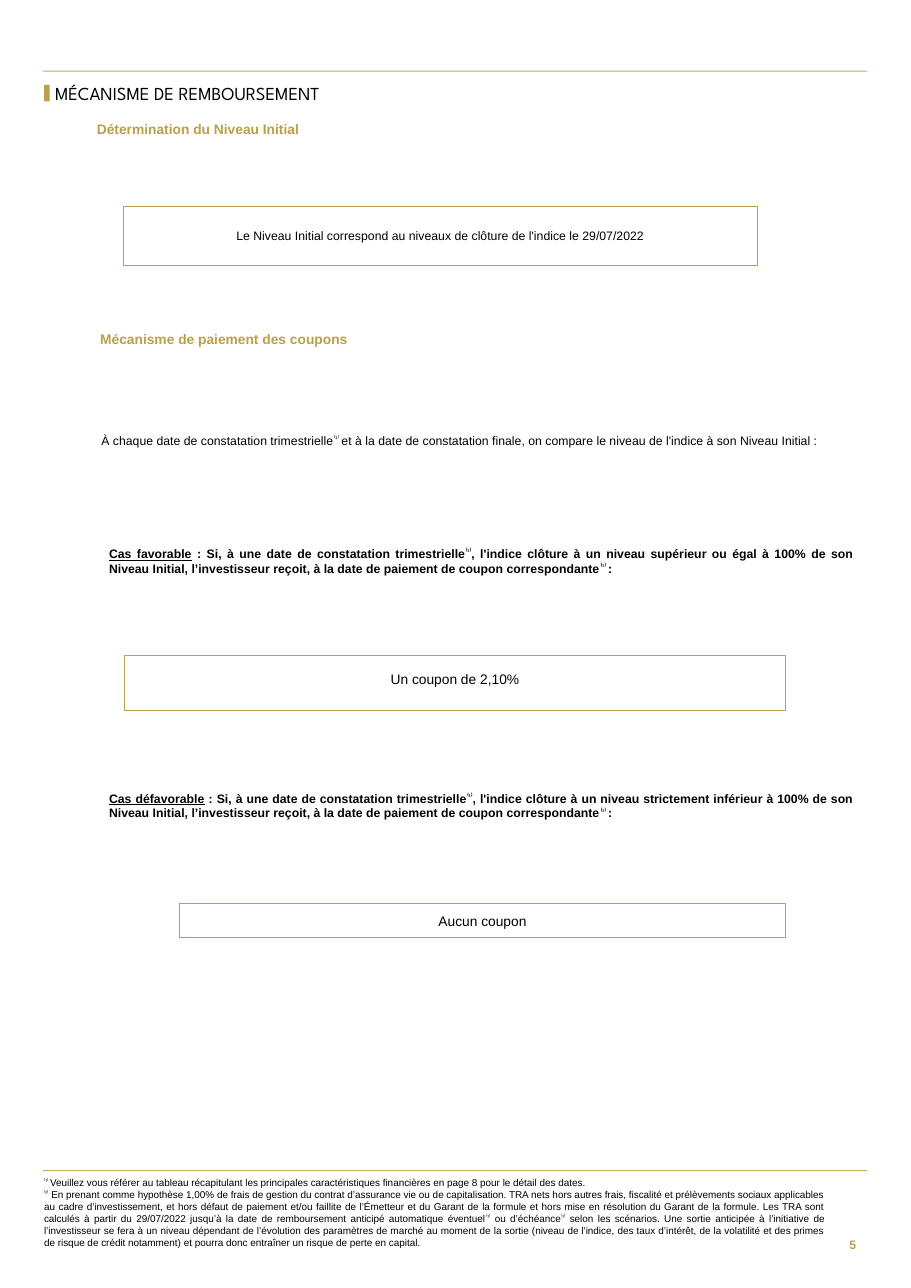
from dataclasses import dataclass

import pptx
import pptx.dml.color
import pptx.enum.shapes
import pptx.enum.text
import pptx.util

PX = 9144  # one hundredth of an inch, in EMU
INK = {"gold": "B9A049", "rule": "C5AF5C", "black": "000000", "white": "FFFFFF"}
ALIGN = pptx.enum.text.PP_ALIGN
ANCHOR = pptx.enum.text.MSO_ANCHOR
Area = tuple[int, int, int, int]


@dataclass
class Text:
    """Words put between ^ marks are raised; lead is underlined."""
    area: Area
    paras: list[str]
    size: float = 8
    ink: str = "black"
    bold: bool = False
    align: ALIGN = ALIGN.JUSTIFY
    anchor: ANCHOR = ANCHOR.TOP
    inset: Area = (0, 0, 0, 0)
    font: str = "Arial"
    lead: str = ""
    space: float = 1.0


@dataclass
class Box:
    text: Text
    line: float
    fill: str = ""


@dataclass
class Bar:
    area: Area
    ink: str


def color(name: str) -> pptx.dml.color.RGBColor:
    return pptx.dml.color.RGBColor.from_string(INK[name])


def scale(area: tuple[int, ...]) -> list[int]:
    return [n * PX for n in area]


def rect(slide, area: Area, fill: str, line: float = 0):
    shape = slide.shapes.add_shape(
        pptx.enum.shapes.MSO_SHAPE.RECTANGLE, *scale(area))
    shape.shadow.inherit = False
    if fill:
        shape.fill.solid()
        shape.fill.fore_color.rgb = color(fill)
    else:
        shape.fill.background()
    if line:
        shape.line.color.rgb = color("gold")
        shape.line.width = pptx.util.Pt(line)
    else:
        shape.line.fill.background()
    return shape


def write(frame, text: Text) -> None:
    frame.word_wrap = True
    frame.vertical_anchor = text.anchor
    (frame.margin_left, frame.margin_top,
     frame.margin_right, frame.margin_bottom) = scale(text.inset)
    for i, words in enumerate(text.paras):
        para = frame.add_paragraph() if i else frame.paragraphs[0]
        para.alignment = text.align
        para.line_spacing = text.space
        font = para.font
        font.name, font.size = text.font, pptx.util.Pt(text.size)
        font.bold = text.bold
        font.color.rgb = color(text.ink)
        if text.lead:
            run = para.add_run()
            run.text = text.lead
            run.font.underline = True
        for k, part in enumerate(words.split("^")):
            if part:
                run = para.add_run()
                run.text = part
                if k % 2:
                    run.font._element.set("baseline", "30000")


def draw(slide, item: Text | Box | Bar) -> None:
    if isinstance(item, Bar):
        rect(slide, item.area, item.ink)
    elif isinstance(item, Box):
        shape = rect(slide, item.text.area, item.fill, item.line)
        write(shape.text_frame, item.text)
    else:
        shape = slide.shapes.add_textbox(*scale(item.area))
        write(shape.text_frame, item)


def head(area: Area, words: str) -> Text:
    return Text(area, [words], 9, "gold", True, ALIGN.LEFT, inset=(20, 0, 0, 0))


def case(top: int, name: str, level: str) -> Text:
    words = (
        " : Si, à une date de constatation trimestrielle^⁽¹⁾^, l'indice clôture à un "
        f"niveau {level} à 100% de son Niveau Initial, l’investisseur reçoit, à la "
        "date de paiement de coupon correspondante^⁽¹⁾ ^:")
    return Text((99, top, 676, 27), [words], bold=True, lead=name)


def frame(area: Area, words: str, size: float, inset: Area,
          line: float = 0.75, fill: str = "white") -> Box:
    return Box(Text(area, [words], size, align=ALIGN.CENTER,
                    anchor=ANCHOR.MIDDLE, inset=inset), line, fill)


REFER = (
    "^⁽¹⁾ ^Veuillez vous référer au tableau récapitulant les principales "
    "caractéristiques financières en page 8 pour le détail des dates.")
COSTS = (
    "^⁽²⁾^ En prenant comme hypothèse 1,00% de frais de gestion du contrat "
    "d’assurance vie ou de capitalisation. TRA nets hors autres frais, fiscalité et "
    "prélèvements sociaux applicables au cadre d’investissement, et hors défaut de "
    "paiement et/ou faillite de l’Émetteur et du Garant de la formule et hors mise en "
    "résolution du Garant de la formule. Les TRA sont calculés à partir du 29/07/2022 "
    "jusqu’à la date de remboursement anticipé automatique éventuel^⁽¹⁾^ ou "
    "d’échéance^⁽¹⁾^ selon les scénarios.")
EXIT = (
    "Une sortie anticipée à l’initiative de "
    "l’investisseur se fera à un niveau dépendant de l’évolution des paramètres de "
    "marché au moment de la sortie (niveau de l'indice, des taux d’intérêt, de la "
    "volatilité et des primes de risque de crédit notamment) et pourra donc entraîner "
    "un risque de perte en capital.")

ITEMS = [
    Bar((39, 64, 748, 1), "rule"),
    Bar((39, 1062, 748, 1), "rule"),
    Text((748, 1109, 39, 42), ["5"], 8, "gold", True, ALIGN.RIGHT,
         ANCHOR.MIDDLE, (10, 5, 10, 5)),
    Text((40, 1068, 709, 66), [REFER, " ".join([COSTS, EXIT])], 6.5),
    Text((50, 73, 421, 25), ["MÉCANISME DE REMBOURSEMENT"], 12, align=ALIGN.LEFT,
         anchor=ANCHOR.MIDDLE, font="League Spartan", space=0.9),
    Bar((40, 77, 5, 15), "gold"),
    head((68, 110, 317, 18), "Détermination du Niveau Initial"),
    frame((112, 187, 576, 54),
          "Le Niveau Initial correspond au niveaux de clôture de l'indice le 29/07/2022",
          8, (12, 20, 12, 20), 0.5, ""),
    head((71, 300, 677, 17), "Mécanisme de paiement des coupons"),
    Text((92, 393, 657, 13), [
        "À chaque date de constatation trimestrielle^⁽¹⁾ ^et à la date de constatation "
        "finale, on compare le niveau de l'indice à son Niveau Initial :"]),
    case(496, "Cas favorable", "supérieur ou égal"),
    frame((113, 595, 600, 50), "Un coupon de 2,10%", 9, (12, 8, 12, 15)),
    case(718, "Cas défavorable", "strictement inférieur"),
    frame((163, 820, 550, 31), "Aucun coupon", 9, (12, 8, 12, 8)),
]


def main() -> None:
    deck = pptx.Presentation()
    deck.slide_width, deck.slide_height = scale((827, 1169))
    slide = deck.slides.add_slide(deck.slide_layouts[6])
    for item in ITEMS:
        draw(slide, item)
    deck.save("out.pptx")


if __name__ == "__main__":
    main()
